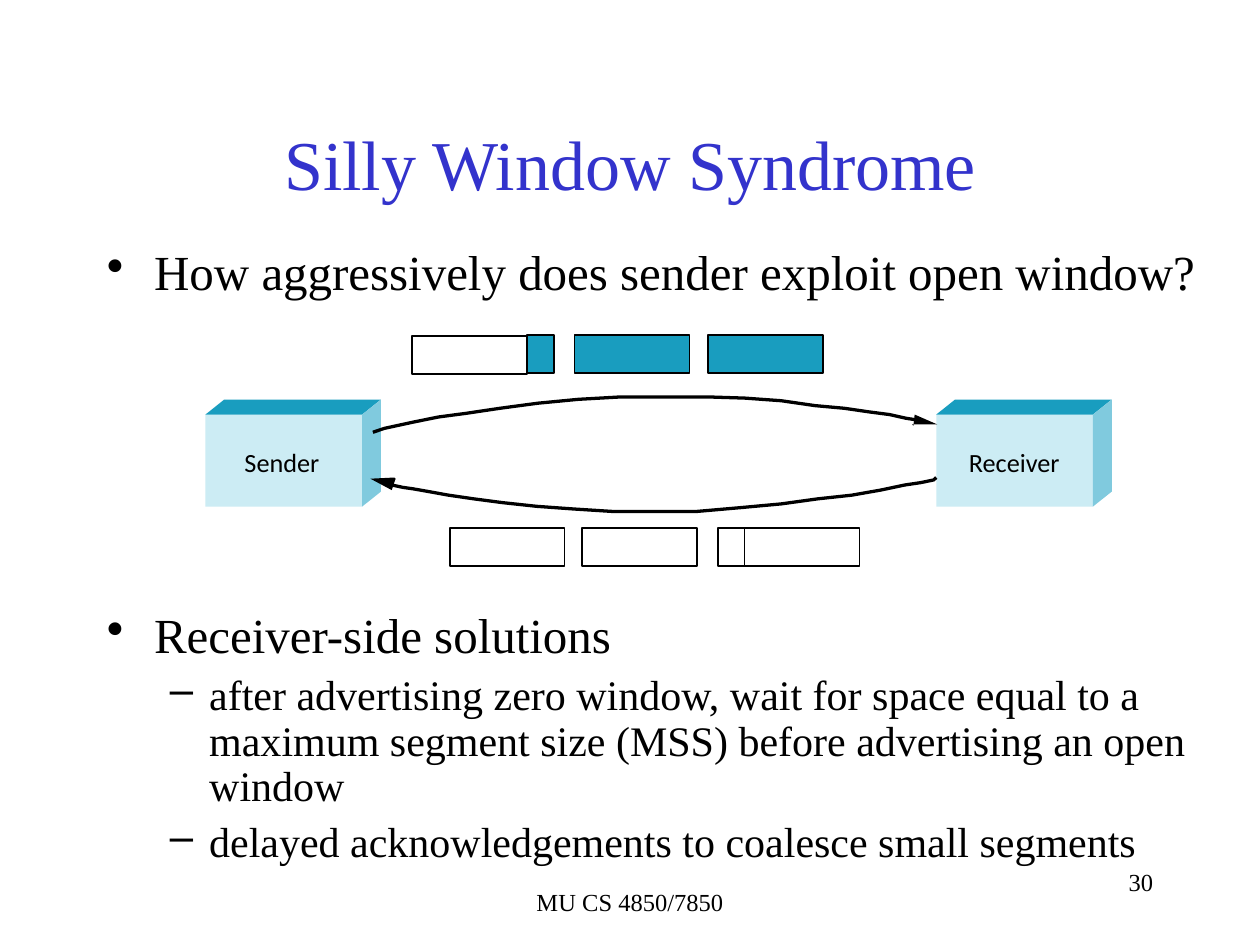
from lxml.etree import SubElement
from pptx import Presentation
from pptx.dml.color import RGBColor
from pptx.enum.shapes import MSO_SHAPE
from pptx.enum.text import MSO_ANCHOR, PP_ALIGN
from pptx.oxml.ns import qn
from pptx.util import Pt

BLACK, WHITE = "000000", "FFFFFF"
TEAL, PALE_TEAL, MID_TEAL = "199DBF", "CCECF4", "80CADE"
SERIF, SANS = "Times New Roman", "Calibri"

color = RGBColor.from_string


def add_text(frame, lines, font_name, hex_color):
    """Fill the frame with (text, size, paragraph format, bullet) lines.

    A bullet is (character, left margin, hanging indent) or None.
    """
    frame.word_wrap = True
    for index, (text, size, layout, bullet) in enumerate(lines):
        paragraph = frame.add_paragraph() if index else frame.paragraphs[0]
        for name, value in layout.items():
            setattr(paragraph, name, value)
        if bullet:
            character, margin, hanging = bullet
            properties = paragraph._p.get_or_add_pPr()
            properties.set("marL", str(Pt(margin)))
            properties.set("indent", str(-Pt(hanging)))
            SubElement(properties, qn("a:buChar")).set("char", character)
        span = paragraph.add_run()
        span.text = text
        for name, value in {"name": font_name, "size": Pt(size)}.items():
            setattr(span.font, name, value)
        span.font.color.rgb = color(hex_color)


def paint(shape, fill=None, line=None, width=1):
    shape.shadow.inherit = False
    if fill:
        shape.fill.solid()
        shape.fill.fore_color.rgb = color(fill)
    else:
        shape.fill.background()
    if line:
        shape.line.color.rgb = color(line)
        shape.line.width = Pt(width)
    else:
        shape.line.fill.background()


deck = Presentation()
deck.slide_width, deck.slide_height = Pt(720), Pt(540)
page = deck.slides.add_slide(deck.slide_layouts[6])
shapes = page.shapes

# Title, footer and slide number
for text, size, align, hex_color, anchor, place in [
    ("MU CS 4850/7850", 14, PP_ALIGN.CENTER, BLACK, MSO_ANCHOR.TOP, (246, 503.3, 228, 36)),
    ("30", 14, PP_ALIGN.RIGHT, BLACK, MSO_ANCHOR.TOP, (516, 492, 150, 36)),
    ("Silly Window Syndrome", 40, PP_ALIGN.CENTER, "3333CC", MSO_ANCHOR.MIDDLE, (54, 48, 612, 90)),
]:
    box = shapes.add_textbox(*map(Pt, place))
    box.text_frame.vertical_anchor = anchor
    add_text(box.text_frame, [(text, size, {"alignment": align}, None)], SERIF, hex_color)

# Bulleted text above and below the diagram
first = {"line_spacing": 0.9}
following = {"line_spacing": 0.9, "space_before": Pt(6)}
dot, dash = ("•", 27, 27), ("–", 58.5, 22.5)
for top, height, lines in [
    (138.2, 40, [("How aggressively does sender exploit open window?", 28, first, dot)]),
    (345.6, 168, [
        ("Receiver-side solutions", 28, first, dot),
        ("after advertising zero window, wait for space equal to a maximum segment size (MSS) "
         "before advertising an open window", 24, following, dash),
        ("delayed acknowledgements to coalesce small segments", 24, following, dash),
    ]),
]:
    box = shapes.add_textbox(Pt(54), Pt(top), Pt(638.6), Pt(height))
    add_text(box.text_frame, lines, SERIF, BLACK)

# Sender and receiver blocks: front face, then top and side faces
outlines = []
front_top, front_width, front_height = 236.9, 89.5, 52.6
depth, rise = 10.8, 8.6
for name, left, label_left, label_width in [
    ("Sender", 117.4, 139.7, 49.7),
    ("Receiver", 535, 553.7, 59.8),
]:
    right, bottom, back = left + front_width, front_top + front_height, front_top - rise
    front = shapes.add_shape(
        MSO_SHAPE.RECTANGLE, Pt(left), Pt(front_top), Pt(front_width), Pt(front_height))
    paint(front, PALE_TEAL)
    top_face = [(left, front_top), (right, front_top), (right + depth, back), (left + depth, back)]
    side_face = [(right + depth, back), (right, front_top), (right, bottom),
                 (right + depth, bottom - rise)]
    outlines += [(top_face, TEAL), (side_face, MID_TEAL)]

    label = shapes.add_textbox(Pt(label_left), Pt(254.9), Pt(label_width), Pt(18))
    for side in ("left", "right", "top", "bottom"):
        setattr(label.text_frame, f"margin_{side}", 0)
    add_text(label.text_frame, [(name, 15, {}, None)], SANS, BLACK)

# Curved paths between the blocks, with their arrowheads
data_path = [
    (213.1, 247), (219.6, 244.8), (226.1, 243.4), (236.2, 241.2), (250.6, 238.3),
    (266.4, 236.2), (285.8, 233.3), (307.4, 230.4), (330.5, 228.2), (355, 226.8),
    (380.2, 226.8), (403.9, 226.8), (425.5, 227.5), (446.4, 229), (465.8, 231.8),
    (482.4, 233.3), (496.8, 235.4), (508.3, 236.9), (517.7, 239), (522.7, 239.8),
    (524.9, 240.5),
]
window_path = [
    (535, 272.9), (533.5, 274.3), (526.3, 275.8), (517, 277.2), (503.3, 280.1),
    (486.7, 283), (467.3, 285.1), (446.4, 288), (422.6, 290.2), (398.2, 292.3),
    (373, 292.3), (349.9, 292.3), (327.6, 290.9), (306.7, 289.4), (287.3, 287.3),
    (270.7, 285.1), (256.3, 283), (244.1, 280.8), (236.2, 279.4), (230.4, 278.6),
    (223.9, 277.2),
]
data_head = [(521.3, 242.6), (535.7, 242.6), (522.7, 236.9), (522, 243.4)]
window_head = [(225.4, 272.9), (211.7, 273.6), (223.9, 280.1), (226.1, 273.6)]
outlines += [(data_path, None), (data_head, BLACK), (window_path, None), (window_head, BLACK)]

for points, fill in outlines:
    start, *others = [(Pt(x), Pt(y)) for x, y in points]
    builder = shapes.build_freeform(*start)
    builder.add_line_segments(others, close=fill is not None)
    paint(builder.convert_to_shape(), fill, None if fill else BLACK, 1.87)

# Segments sent above, window advertisements returned below
segment_width, segment_height = 65.7, 21.6
sliver_width = 15.5
for left, top, width, fill in [
    (301, 191.5, sliver_width, TEAL),
    (328.3, 191.5, segment_width, TEAL),
    (404.8, 191.5, segment_width, TEAL),
    (257, 301.7, segment_width, WHITE),
    (332.8, 301.7, segment_width, WHITE),
    (410.2, 301.7, sliver_width, None),
    (425.5, 301.7, segment_width, WHITE),
    (235.4, 192.2, segment_width, WHITE),
]:
    segment = shapes.add_shape(
        MSO_SHAPE.RECTANGLE, Pt(left), Pt(top), Pt(width), Pt(segment_height))
    paint(segment, fill, BLACK)

deck.save("out.pptx")
